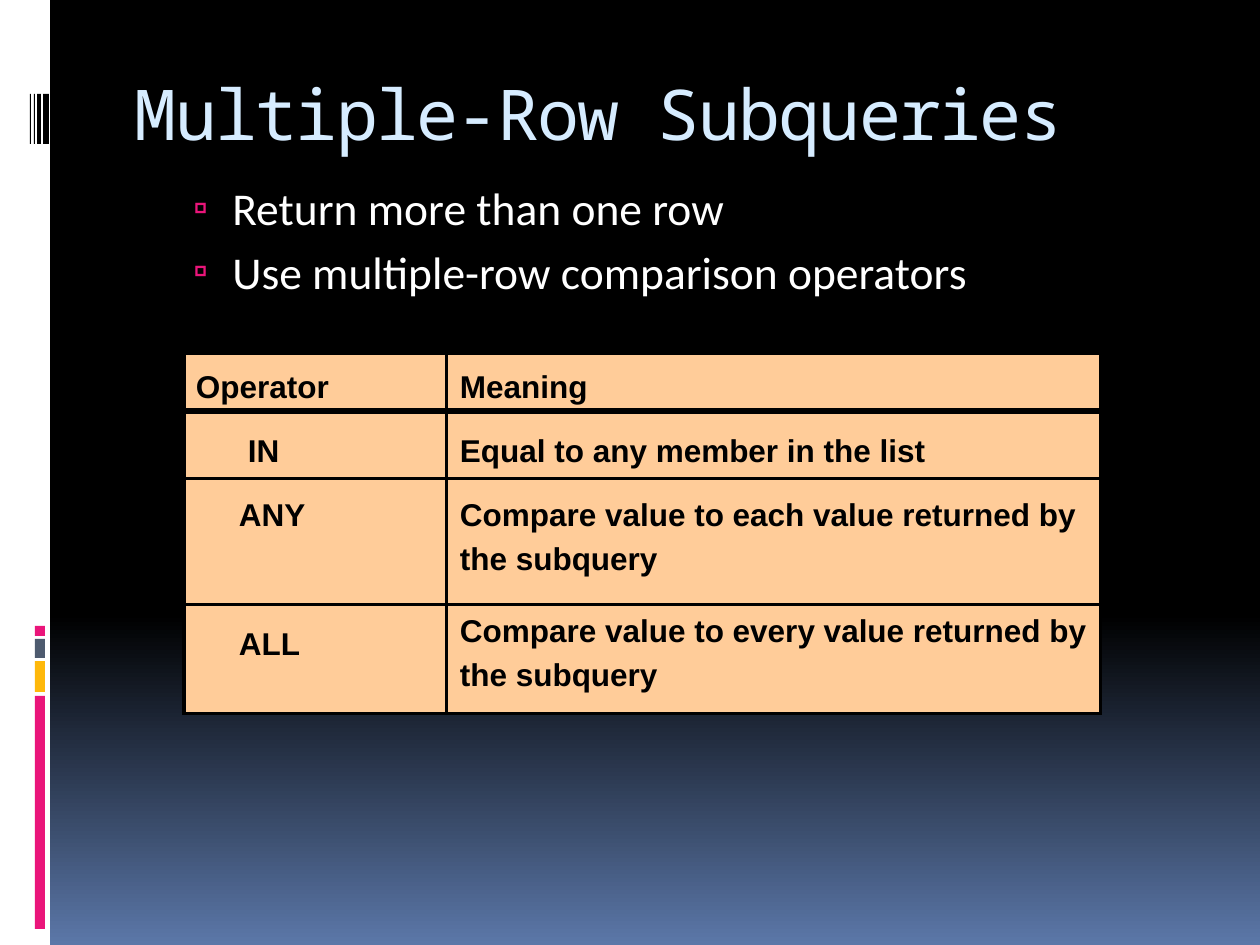
from lxml.etree import SubElement
from pptx import Presentation
from pptx.dml.color import RGBColor
from pptx.enum.shapes import MSO_SHAPE
from pptx.enum.text import MSO_ANCHOR
from pptx.oxml.ns import qn
from pptx.util import Emu, Pt

COLORS = {
    "black": "000000", "white": "FFFFFF", "sky": "5B77A8", "title": "D6ECFF",
    "pink": "EA157A", "gold": "FEB80A", "slate": "4E5B6F", "peach": "FFCC99",
}

# Content
TITLE = "Multiple-Row Subqueries"
BULLETS = ["Return more than one row", "Use multiple-row comparison operators"]
ROWS = [
    ("Operator", "Meaning"),
    ("IN", "Equal to any member in the list"),
    ("ANY", "Compare value to each value returned by the subquery"),
    ("ALL", "Compare value to every value returned by the subquery"),
]

# Layout in px, 126 to the inch
WIDTH, HEIGHT = 1260, 945
BARS = [  # left, top, width, height, color
    (0, 0, 50, HEIGHT, "white"),
    (35, 696, 10, 233, "pink"),
    (35, 661, 10, 31, "gold"),
    (35, 639, 10, 19, "slate"),
    (35, 626, 10, 10, "pink"),
] + [(left, 94, width, 50, "black")
     for left, width in ((43, 6), (37, 4), (34, 1), (30, 1))]
COLUMN_EDGES = [184, 447, 1101]
ROW_EDGES = [353, 411, 479, 605, 714]
LEFT_MARGINS = [(12, 13), (64, 13), (55, 13), (55, 13)]
TOP_MARGINS = [(8, 8), (14, 14), (10, 10), (13, 0)]
RULE_POINTS = [2, 4, 2, 2, 2]  # horizontal rules, top to bottom


def px(length):
    return Emu(round(length * 914400 / 126))


def color(name):
    return RGBColor.from_string(COLORS[name])


def add_text(para, text, font, size, ink, bold=False):
    run = para.add_run()
    run.text = text
    run.font.name, run.font.size, run.font.bold = font, Pt(size), bold
    run.font.color.rgb = color(ink)
    return run


def set_bullet(para):
    props = para._p.get_or_add_pPr()
    props.set("marL", str(px(102)))
    props.set("indent", str(-px(39)))
    bullet_color = SubElement(props, qn("a:buClr"))
    SubElement(bullet_color, qn("a:srgbClr"), val=COLORS["pink"])
    SubElement(props, qn("a:buSzPct"), val="90000")
    SubElement(props, qn("a:buFont"), typeface="Calibri")
    SubElement(props, qn("a:buChar"), char="▫")


def set_borders(cell, top, bottom):
    props = cell._tc.get_or_add_tcPr()
    sides = (("L", 2), ("R", 2), ("T", top), ("B", bottom))
    for index, (side, points) in enumerate(sides):
        line = props.makeelement(qn("a:ln" + side), {"w": str(Pt(points))})
        fill = SubElement(line, qn("a:solidFill"))
        SubElement(fill, qn("a:srgbClr"), val=COLORS["black"])
        props.insert(index, line)


deck = Presentation()
deck.slide_width, deck.slide_height = px(WIDTH), px(HEIGHT)
page = deck.slides.add_slide(deck.slide_layouts[5])

# Background: black down to 65 %, then blue
background = page.background.fill
background.gradient()
background.gradient_angle = 270
stops = background._fill._gradFill.find(qn("a:gsLst"))
for stop in list(stops):
    stops.remove(stop)
for percent, name in ((0, "black"), (65, "black"), (100, "sky")):
    stop = SubElement(stops, qn("a:gs"), pos=str(percent * 1000))
    SubElement(stop, qn("a:srgbClr"), val=COLORS[name])

# Side decoration
for left, top, width, height, name in BARS:
    bar = page.shapes.add_shape(
        MSO_SHAPE.RECTANGLE, px(left), px(top), px(width), px(height))
    bar.shadow.inherit = False
    bar.fill.solid()
    bar.fill.fore_color.rgb = color(name)
    bar.line.fill.background()

# Title
title = page.shapes.title
title.left, title.top, title.width, title.height = map(px, (126, 71, 1071, 126))
frame = title.text_frame
frame.vertical_anchor = MSO_ANCHOR.TOP
frame.margin_left, frame.margin_top = px(9), 0
para = frame.paragraphs[0]
para.alignment = 1
run = add_text(para, TITLE, "Noto Sans Mono", 40, "title")
run.font._element.set("spc", "-100")

# Bullets
box = page.shapes.add_textbox(px(118), px(174), px(1057), px(145))
frame = box.text_frame
frame.word_wrap = True
for index, text in enumerate(BULLETS):
    para = frame.add_paragraph() if index else frame.paragraphs[0]
    para.space_before = Pt(5)
    set_bullet(para)
    add_text(para, text, "Calibri", 26, "white")

# Operator table
table = page.shapes.add_table(
    len(ROWS), 2, px(COLUMN_EDGES[0]), px(ROW_EDGES[0]),
    px(COLUMN_EDGES[-1] - COLUMN_EDGES[0]),
    px(ROW_EDGES[-1] - ROW_EDGES[0])).table
for column, start, end in zip(table.columns, COLUMN_EDGES, COLUMN_EDGES[1:]):
    column.width = px(end - start)
for row, start, end in zip(table.rows, ROW_EDGES, ROW_EDGES[1:]):
    row.height = px(end - start)
for r, texts in enumerate(ROWS):
    for c, text in enumerate(texts):
        cell = table.cell(r, c)
        cell.fill.solid()
        cell.fill.fore_color.rgb = color("peach")
        set_borders(cell, RULE_POINTS[r], RULE_POINTS[r + 1])
        cell.margin_left = px(LEFT_MARGINS[r][c])
        cell.margin_top = px(TOP_MARGINS[r][c])
        cell.margin_right = cell.margin_bottom = 0
        para = cell.text_frame.paragraphs[0]
        para.line_spacing = 1.25
        add_text(para, text, "Arial", 18, "black", bold=True)

deck.save("out.pptx")
